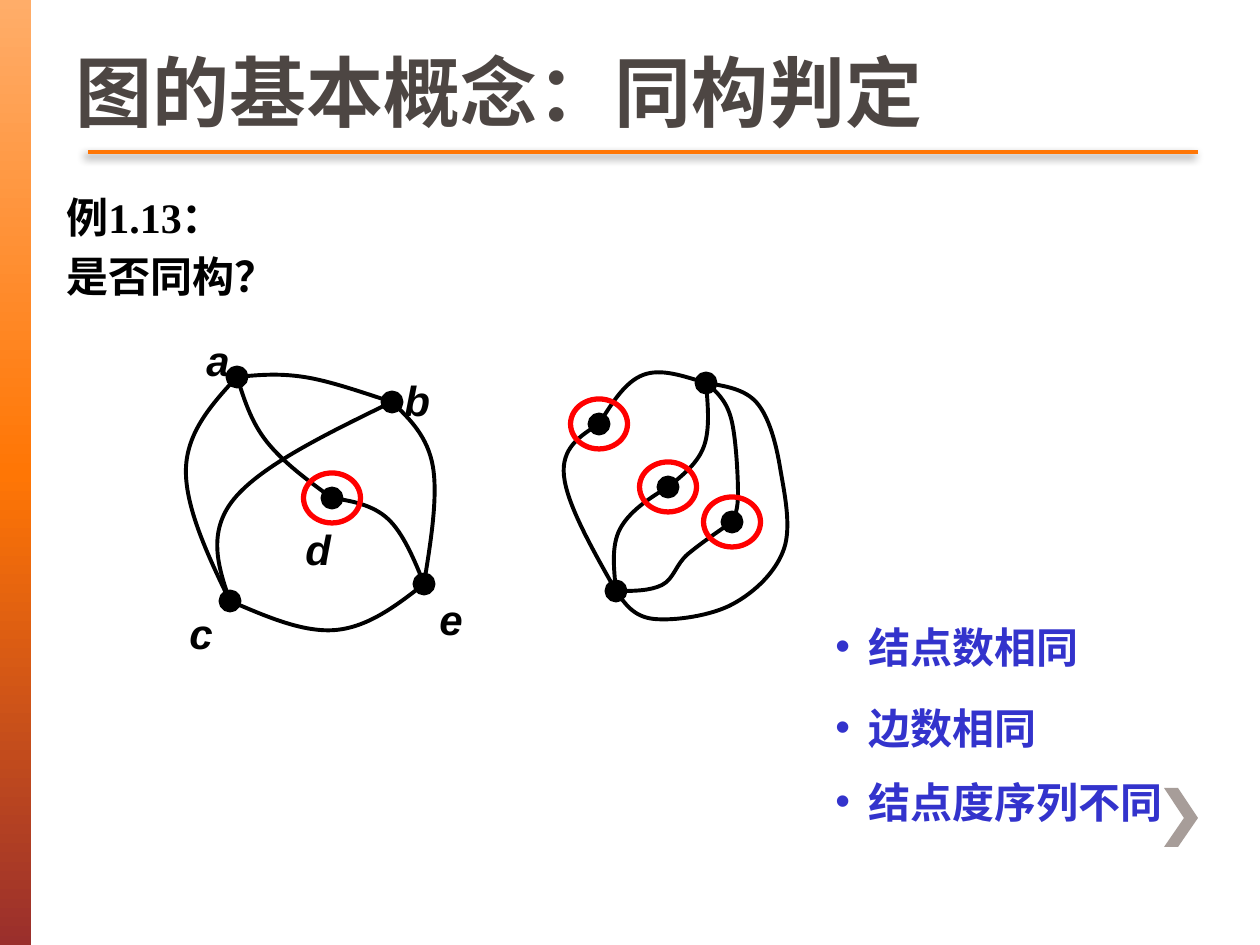
from collections import Counter
from copy import deepcopy
from lxml import etree
from pptx import Presentation
from pptx.dml.color import RGBColor
from pptx.enum.shapes import MSO_CONNECTOR, MSO_SHAPE
from pptx.enum.text import MSO_ANCHOR as ANCHOR, PP_ALIGN as ALIGN
from pptx.oxml import parse_xml
from pptx.oxml.ns import nsdecls, qn
from pptx.util import Inches, Pt

PX = Inches(1) / 126
BLACK = RGBColor(0x00, 0x00, 0x00)
RED = RGBColor(0xFF, 0x00, 0x00)
BLUE = RGBColor(0x33, 0x33, 0xCC)
ORANGE = RGBColor(0xFF, 0x76, 0x05)
PEACH = RGBColor(0xFF, 0xAD, 0x69)
BRICK = RGBColor(0x9A, 0x2F, 0x2C)
GREY = RGBColor(0xA7, 0x9D, 0x99)
TITLE = RGBColor(0x4D, 0x46, 0x43)
CJK = "Noto Sans CJK SC"

DOT_SIZE = (19, 19)
RING_SIZE = (57, 50)
LABEL_SIZE = (46, 63)
BULLET_INDENT = 33


def px(*values):
    return [round(v * PX) for v in values]


def add_text(box, lines, size, font, color, anchor=ANCHOR.MIDDLE, wrap=True):
    tf = s.shapes.add_textbox(*px(*box)).text_frame
    tf.word_wrap = wrap
    tf.vertical_anchor = anchor
    for i, line in enumerate(lines):
        p = tf.paragraphs[0] if i == 0 else tf.add_paragraph()
        r = p.add_run()
        r.text = line
        r.font.size = Pt(size)
        r.font.name = font
        r.font.bold = True
        r.font.color.rgb = color
        etree.SubElement(r.font._element, qn("a:ea")).set("typeface", CJK)
    return tf


prs = Presentation()
prs.slide_width, prs.slide_height = px(1260, 945)
s = prs.slides.add_slide(prs.slide_layouts[6])

sidebar = s.shapes.add_shape(MSO_SHAPE.RECTANGLE, *px(0, 0, 31, 945))
sidebar.shadow.inherit = False
sidebar.line.fill.background()
sidebar.fill.gradient()
sidebar.fill.gradient_angle = 270
stops = sidebar._element.spPr.find(".//" + qn("a:gsLst"))
stops.append(deepcopy(stops[-1]))
for stop, pos, color in zip(sidebar.fill.gradient_stops, (0, 0.5, 1), (PEACH, ORANGE, BRICK)):
    stop.position = pos
    stop.color.rgb = color

fb = s.shapes.build_freeform(1178, 788, scale=PX)
fb.add_line_segments([(1164, 788), (1184, 818), (1164, 847), (1178, 847), (1198, 818)])
chevron = fb.convert_to_shape()
chevron.shadow.inherit = False
chevron.fill.solid()
chevron.fill.fore_color.rgb = GREY
chevron.line.fill.background()

rule = s.shapes.add_connector(MSO_CONNECTOR.STRAIGHT, *px(88, 152, 1198, 152))
rule.line.color.rgb = ORANGE
rule.line.width = Pt(2.5)
rule._element.spPr.append(parse_xml(
    f'<a:effectLst {nsdecls("a")}><a:outerShdw blurRad="{Pt(5)}" dist="{Pt(3)}" dir="8100000">'
    '<a:srgbClr val="000000"><a:alpha val="45000"/></a:srgbClr></a:outerShdw></a:effectLst>'))

tf = add_text((63, 45, 1134, 100), ["图的基本概念：同构判定"], 44, CJK, TITLE, ANCHOR.TOP)
tf.margin_top = 0
tf = add_text((54, 185, 1071, 499), ["例1.13：", "是否同构？"], 24,
              "Times New Roman", BLACK, ANCHOR.TOP)
tf.paragraphs[1].space_before = Pt(5)

vertices = {
    "a": (237, 377), "b": (392, 402), "c": (230, 601), "d": (332, 498), "e": (424, 584),
    "top": (706, 383), "bottom": (616, 591),
    "left": (599, 424), "middle": (668, 487), "right": (732, 522),
}
edges = [
    ("a", "b", [(304, 377)]),
    ("a", "c", [(186, 469)]),
    ("c", "b", [(234, 499)]),
    ("a", "d", [(267, 442)]),
    ("d", "e", [(388, 519)]),
    ("c", "e", [(336, 630)]),
    ("b", "e", [(433, 467)]),
    ("left", "top", [(643, 375)]),
    ("left", "bottom", [(564, 476)]),
    ("bottom", "middle", [(620, 529)]),
    ("middle", "top", [(704, 446)]),
    ("top", "right", [(731, 418), (738, 493)]),
    ("bottom", "right", [(662, 585), (688, 554)]),
    ("bottom", "top", [(654, 619), (733, 604), (784, 549), (780, 467), (757, 403)]),
]

for start, end, bends in edges:
    knots = [vertices[start], *bends, vertices[end]]
    handles = []
    for (x0, y0), (x, y), (x1, y1) in zip(knots, knots[1:], knots[2:]):
        dx, dy = (x1 - x0) / 6, (y1 - y0) / 6
        handles += [(x - dx, y - dy), (x + dx, y + dy)]
    leave = [(k + h) / 2 for k, h in zip(knots[0], handles[0])]
    arrive = [(k + h) / 2 for k, h in zip(knots[-1], handles[-1])]
    handles = [leave, *handles, arrive]

    fb = s.shapes.build_freeform(*knots[0], scale=PX)
    for i, knot in enumerate(knots[1:]):
        points = [*handles[2 * i:2 * i + 2], knot]
        fb.add_line_segments([(round(x), round(y)) for x, y in points], close=False)
    edge = fb.convert_to_shape()
    edge.shadow.inherit = False
    edge.fill.background()
    edge.line.color.rgb = BLACK
    edge.line.width = Pt(2.25)

    outline = edge._element.spPr.find(".//" + qn("a:path"))
    segments = outline.findall(qn("a:lnTo"))
    for i in range(0, len(segments), 3):
        curve = etree.SubElement(outline, qn("a:cubicBezTo"))
        for segment in segments[i:i + 3]:
            curve.append(segment[0])
            outline.remove(segment)

degree = Counter(name for start, end, bends in edges for name in (start, end))
degree_two = [name for name in vertices if degree[name] == 2]
for names, (w, h), color, width in ((vertices, DOT_SIZE, BLACK, 2.25),
                                    (degree_two, RING_SIZE, RED, 3)):
    for name in names:
        x, y = vertices[name]
        sp = s.shapes.add_shape(MSO_SHAPE.OVAL, *px(x - w / 2, y - h / 2, w, h))
        sp.shadow.inherit = False
        if names is vertices:
            sp.fill.solid()
            sp.fill.fore_color.rgb = color
        else:
            sp.fill.background()
        sp.line.color.rgb = color
        sp.line.width = Pt(width)

label_offsets = {"a": (-20, -17), "b": (23, -2), "c": (-30, 32), "d": (-16, 51), "e": (26, 35)}
w, h = LABEL_SIZE
for name, (dx, dy) in label_offsets.items():
    x, y = vertices[name]
    tf = add_text((x + dx - w / 2, y + dy - h / 2, w, h), [name], 24, "Arial", BLACK, wrap=False)
    p = tf.paragraphs[0]
    p.alignment = ALIGN.CENTER
    p.runs[0].font.italic = True

for line, y, w in (("结点数相同", 615, 341), ("边数相同", 696, 304), ("结点度序列不同", 770, 403)):
    tf = add_text((823, y, w, 63), [line], 24, "Arial", BLUE)
    pPr = tf.paragraphs[0]._p.get_or_add_pPr()
    indent = px(BULLET_INDENT)[0]
    pPr.set("marL", str(indent))
    pPr.set("indent", str(-indent))
    etree.SubElement(pPr, qn("a:buFont")).set("typeface", "Arial")
    etree.SubElement(pPr, qn("a:buChar")).set("char", "•")

prs.save("out.pptx")
